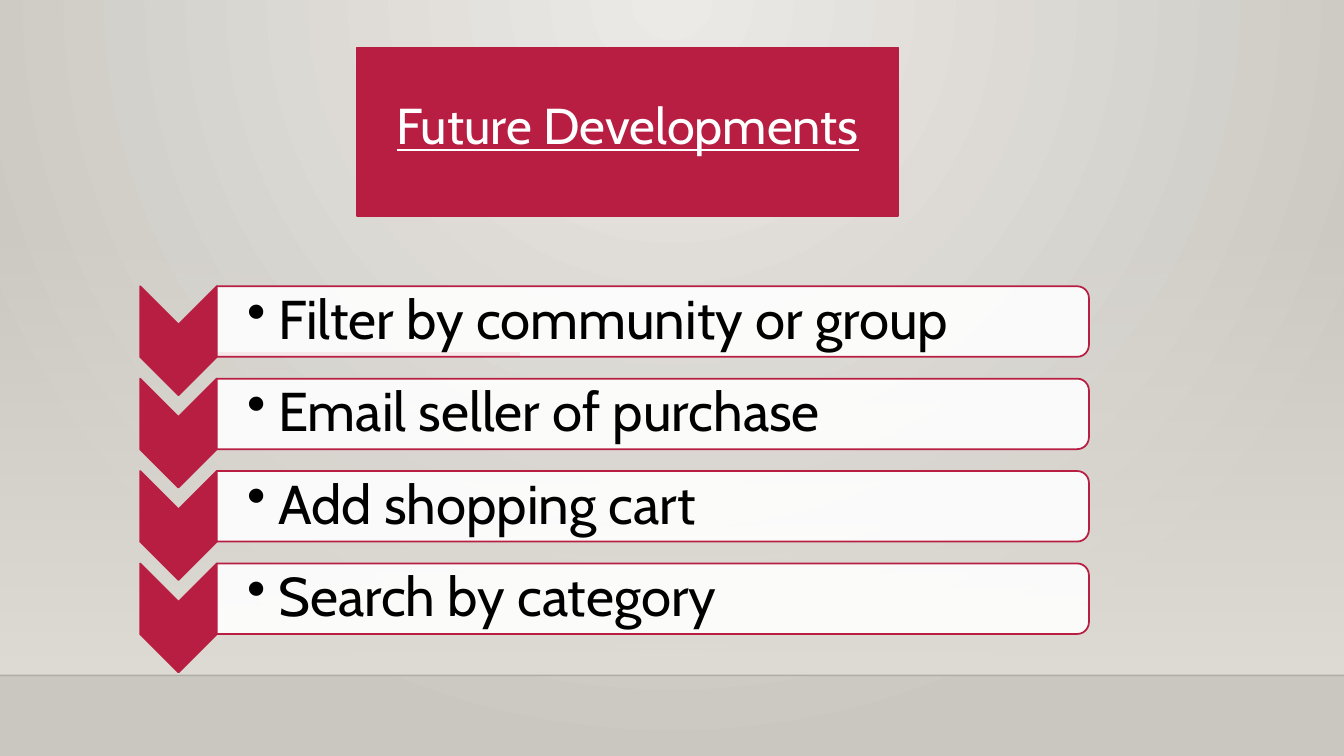
"""Build the Future Developments slide with a chevron list."""
from lxml import etree
from pptx import Presentation
from pptx.dml.color import RGBColor
from pptx.enum.shapes import MSO_CONNECTOR as Connector, MSO_SHAPE as Preset
from pptx.enum.text import MSO_ANCHOR as Anchor, PP_ALIGN as Align
from pptx.oxml import parse_xml
from pptx.oxml.ns import nsdecls, qn
from pptx.util import Inches, Pt

TITLE = "Future Developments"
DEVELOPMENTS = [
    "Filter by community or group",
    "Email seller of purchase",
    "Add shopping cart",
    "Search by category",
]
FONT = "Cabin"
CRIMSON, WHITE, BLACK = "B71E42", "FFFFFF", "000000"
SLIDE_WIDTH, SLIDE_HEIGHT = 13.33, 7.5
FLOOR_TOP = 6.7
FIRST_CENTER, LAST_CENTER = 3.19, 5.94
PITCH = (LAST_CENTER - FIRST_CENTER) / (len(DEVELOPMENTS) - 1)
BAR_LEFT, BAR_LENGTH, BAR_HEIGHT = 2.15, 8.65, 0.7
CHEVRON_CENTER, CHEVRON_LENGTH, CHEVRON_WIDTH = 1.77, 1.08, 0.76
CHEVRON_DROP = 0.19
TEXT_WIDTH, TEXT_HEIGHT = 8.62, 0.63
BULLET_INDENT = 0.31


def color(value):
    return RGBColor.from_string(value)


def set_alpha(properties, percent):
    for node in properties.iter(qn("a:srgbClr")):
        etree.SubElement(node, qn("a:alpha"), val=str(percent * 1000))
        break


def set_gradient(properties, stops, direction):
    """Replace a solid fill by a gradient of (position, colour, alpha) stops."""
    stop_xml = "".join(
        f'<a:gs pos="{position * 1000}"><a:srgbClr val="{value}">'
        f'<a:alpha val="{alpha * 1000}"/></a:srgbClr></a:gs>'
        for position, value, alpha in stops)
    gradient = parse_xml(
        f'<a:gradFill {nsdecls("a")} rotWithShape="1">'
        f"<a:gsLst>{stop_xml}</a:gsLst>{direction}</a:gradFill>")
    solid = properties.find(qn("a:solidFill"))
    properties.replace(solid, gradient)


def add_block(slide, preset, center_x, center_y, width, height,
              fill, line=None, rotation=0):
    shape = slide.shapes.add_shape(
        preset, Inches(center_x - width / 2), Inches(center_y - height / 2),
        Inches(width), Inches(height))
    shape.rotation = rotation
    shape.shadow.inherit = False
    shape.fill.solid()
    shape.fill.fore_color.rgb = color(fill)
    if line:
        shape.line.color.rgb = color(line)
        shape.line.width = Pt(1.25)
    else:
        shape.line.fill.background()
    return shape


def add_rule(slide, left, right, y, line, width):
    rule = slide.shapes.add_connector(
        Connector.STRAIGHT, Inches(left), Inches(y), Inches(right), Inches(y))
    rule.line.color.rgb = color(line)
    rule.line.width = Pt(width)
    properties = rule._element.spPr
    etree.SubElement(properties, qn("a:effectLst"))
    return properties


def write_text(shape, text, size, font_color, margins, align=Align.LEFT,
               underline=False, bullet=None):
    frame = shape.text_frame
    frame.word_wrap = True
    frame.vertical_anchor = Anchor.MIDDLE
    (frame.margin_left, frame.margin_top,
     frame.margin_right, frame.margin_bottom) = map(Inches, margins)
    paragraph = frame.paragraphs[0]
    paragraph.alignment = align
    paragraph.line_spacing = 0.9
    if bullet:
        properties = paragraph._p.get_or_add_pPr()
        properties.set("marL", str(Inches(BULLET_INDENT)))
        properties.set("indent", str(-Inches(BULLET_INDENT)))
        etree.SubElement(properties, qn("a:buChar"), char=bullet)
    run = paragraph.add_run()
    run.text = text
    run.font.name = FONT
    run.font.size = Pt(size)
    run.font.underline = underline
    run.font.color.rgb = color(font_color)


def add_backdrop(slide):
    slide.background.fill.solid()
    slide.background.fill.fore_color.rgb = color(WHITE)
    set_gradient(
        next(slide.element.iter(qn("p:bgPr"))),
        [(0, "ECEAE7", 100), (100, "CAC7C1", 100)],
        '<a:path path="circle">'
        '<a:fillToRect l="43000" t="0" r="43000" b="100000"/></a:path>')
    wall_top = 2.21
    wall = add_block(slide, Preset.RECTANGLE, SLIDE_WIDTH / 2,
                     (wall_top + FLOOR_TOP) / 2, SLIDE_WIDTH,
                     FLOOR_TOP - wall_top, "DFDBD5")
    set_gradient(wall._element.spPr,
                 [(0, "DFDBD5", 0), (100, "DFDBD5", 100)],
                 '<a:lin ang="5400000" scaled="0"/>')
    set_alpha(add_rule(slide, 0, SLIDE_WIDTH, FLOOR_TOP, "000001", 1), 20)
    add_rule(slide, 1.58, 5.16, 3.51, CRIMSON, 2.5)


def add_title(slide):
    title = slide.shapes.title
    title.left, title.top = Inches(3.54), Inches(0.47)
    title.width, title.height = Inches(5.37), Inches(1.67)
    title.fill.solid()
    title.fill.fore_color.rgb = color(CRIMSON)
    title.line.color.rgb = color(CRIMSON)
    title.line.width = Pt(1.25)
    write_text(title, TITLE, 36, WHITE, (0.17, 0.07, 0.17, 0.13),
               align=Align.CENTER, underline=True)


def add_development(slide, text, center_y):
    add_block(slide, Preset.CHEVRON, CHEVRON_CENTER, center_y + CHEVRON_DROP,
              CHEVRON_LENGTH, CHEVRON_WIDTH, CRIMSON, CRIMSON, rotation=90)
    bar = add_block(slide, Preset.ROUND_2_SAME_RECTANGLE,
                    BAR_LEFT + BAR_LENGTH / 2, center_y, BAR_HEIGHT,
                    BAR_LENGTH, WHITE, CRIMSON, rotation=90)
    set_alpha(bar._element.spPr, 90)
    label = slide.shapes.add_textbox(
        Inches(BAR_LEFT), Inches(center_y - TEXT_HEIGHT / 2),
        Inches(TEXT_WIDTH), Inches(TEXT_HEIGHT))
    write_text(label, text, 39, BLACK, (0.3, 0.03, 0.03, 0.03), bullet="•")


def main():
    presentation = Presentation()
    presentation.slide_width = Inches(SLIDE_WIDTH)
    presentation.slide_height = Inches(SLIDE_HEIGHT)
    slide = presentation.slides.add_slide(presentation.slide_layouts[5])
    add_backdrop(slide)
    add_title(slide)
    for row, text in enumerate(DEVELOPMENTS):
        add_development(slide, text, FIRST_CENTER + row * PITCH)
    presentation.save("out.pptx")


if __name__ == "__main__":
    main()
